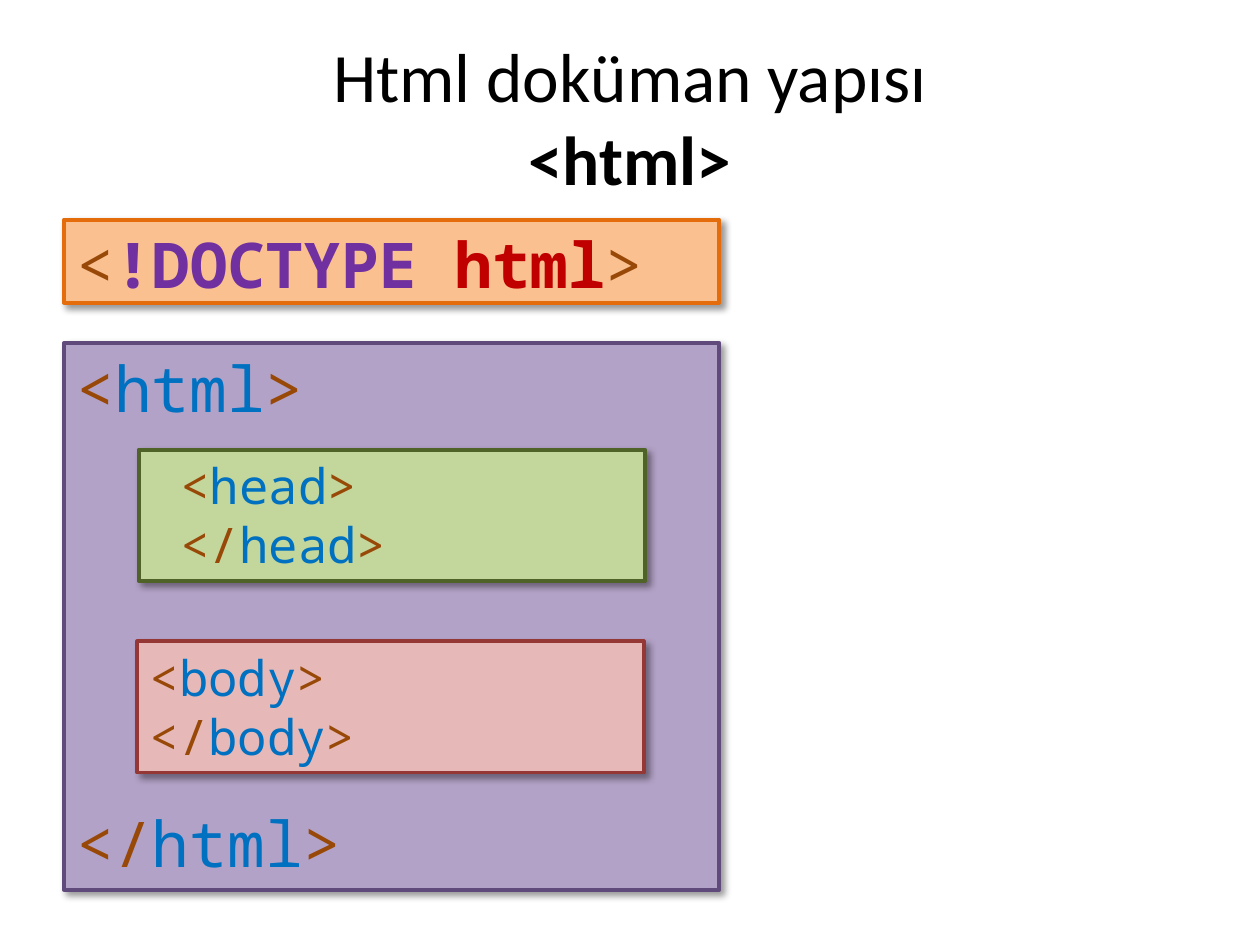
from lxml import etree
from pptx import Presentation
from pptx.dml.color import RGBColor
from pptx.enum import shapes, text
from pptx.oxml import ns
from pptx.util import Pt

BLACK = RGBColor(0x00, 0x00, 0x00)
BROWN = RGBColor(0x98, 0x48, 0x07)
BLUE = RGBColor(0x00, 0x70, 0xC0)
PURPLE = RGBColor(0x70, 0x30, 0xA0)
RED = RGBColor(0xC0, 0x00, 0x00)
ORANGE_FILL = RGBColor(0xFA, 0xC0, 0x90)
ORANGE_LINE = RGBColor(0xE4, 0x6C, 0x0A)
VIOLET_FILL = RGBColor(0xB3, 0xA2, 0xC7)
VIOLET_LINE = RGBColor(0x60, 0x4A, 0x7B)
GREEN_FILL = RGBColor(0xC3, 0xD6, 0x9B)
GREEN_LINE = RGBColor(0x4F, 0x62, 0x28)
PINK_FILL = RGBColor(0xE6, 0xB9, 0xB8)
PINK_LINE = RGBColor(0x95, 0x37, 0x35)
CODE_FONT = "Noto Sans Mono"


def add_run(paragraph, wording, size, color, font=CODE_FONT, bold=False):
    """Append a formatted run to a paragraph."""
    run = paragraph.add_run()
    run.text = wording
    run.font.name = font
    run.font.size = Pt(size)
    run.font.bold = bold
    run.font.color.rgb = color


def add_shadow(shape):
    """Give a shape a soft shadow towards the lower right."""
    shape.shadow.inherit = False
    effects = shape._element.spPr.find(ns.qn("a:effectLst"))
    shadow = etree.SubElement(effects, ns.qn("a:outerShdw"), blurRad=str(Pt(4)),
                              dist=str(Pt(3)), dir="2700000", algn="tl", rotWithShape="0")
    color = etree.SubElement(shadow, ns.qn("a:srgbClr"), val="000000")
    etree.SubElement(color, ns.qn("a:alpha"), val="40000")


def add_code_box(slide, left, top, width, height, fill, line, lines,
                 size=28, inset=7.2, gap=0):
    """Add a bordered box whose lines are lists of (wording, color, bold)."""
    box = slide.shapes.add_shape(shapes.MSO_SHAPE.RECTANGLE,
                                 Pt(left), Pt(top), Pt(width), Pt(height))
    box.fill.solid()
    box.fill.fore_color.rgb = fill
    box.line.color.rgb = line
    box.line.width = Pt(2.25)
    add_shadow(box)
    frame = box.text_frame
    frame.word_wrap = True
    frame.vertical_anchor = text.MSO_ANCHOR.TOP
    frame.margin_left = Pt(inset)
    for index, parts in enumerate(lines):
        paragraph = frame.add_paragraph() if index else frame.paragraphs[0]
        paragraph.alignment = text.PP_ALIGN.LEFT
        if index:
            paragraph.space_before = Pt(gap)
        for wording, color, bold in parts:
            add_run(paragraph, wording, size, color, bold=bold)


def tag_lines(name):
    """Return the opening and closing line of an element."""
    return [[(opening, BROWN, False), (name, BLUE, False), (">", BROWN, False)]
            for opening in ("<", "</")]


def set_title(slide, first_line, second_line):
    """Place and fill the two-line title."""
    title = slide.shapes.title
    title.left, title.top, title.width, title.height = Pt(36), Pt(21.6), Pt(648), Pt(90)
    frame = title.text_frame
    frame.auto_size = text.MSO_AUTO_SIZE.NONE
    frame.vertical_anchor = text.MSO_ANCHOR.MIDDLE
    paragraph = frame.paragraphs[0]
    paragraph.alignment = text.PP_ALIGN.CENTER
    add_run(paragraph, first_line, 39.6, BLACK, font="Calibri")
    paragraph.add_line_break()
    add_run(paragraph, second_line, 39.6, BLACK, font="Calibri", bold=True)


def main():
    """Build the slide on the structure of an HTML document."""
    presentation = Presentation()
    presentation.slide_width, presentation.slide_height = Pt(720), Pt(540)
    slide = presentation.slides.add_slide(presentation.slide_layouts[5])
    set_title(slide, "Html doküman yapısı", "<html>")
    doctype = [("<", BROWN, False), ("!DOCTYPE ", PURPLE, True),
               ("html", RED, True), (">", BROWN, False)]
    add_code_box(slide, 36.6, 125.5, 374.4, 47.5, ORANGE_FILL, ORANGE_LINE,
                 [doctype], size=36)
    add_code_box(slide, 36.6, 196, 374.4, 312.5, VIOLET_FILL, VIOLET_LINE,
                 tag_lines("html"), size=36, gap=217)
    add_code_box(slide, 79.2, 257, 289.4, 75, GREEN_FILL, GREEN_LINE,
                 tag_lines("head"), inset=24)
    add_code_box(slide, 78.5, 366.5, 289.4, 75, PINK_FILL, PINK_LINE,
                 tag_lines("body"))
    presentation.save("out.pptx")


main()
